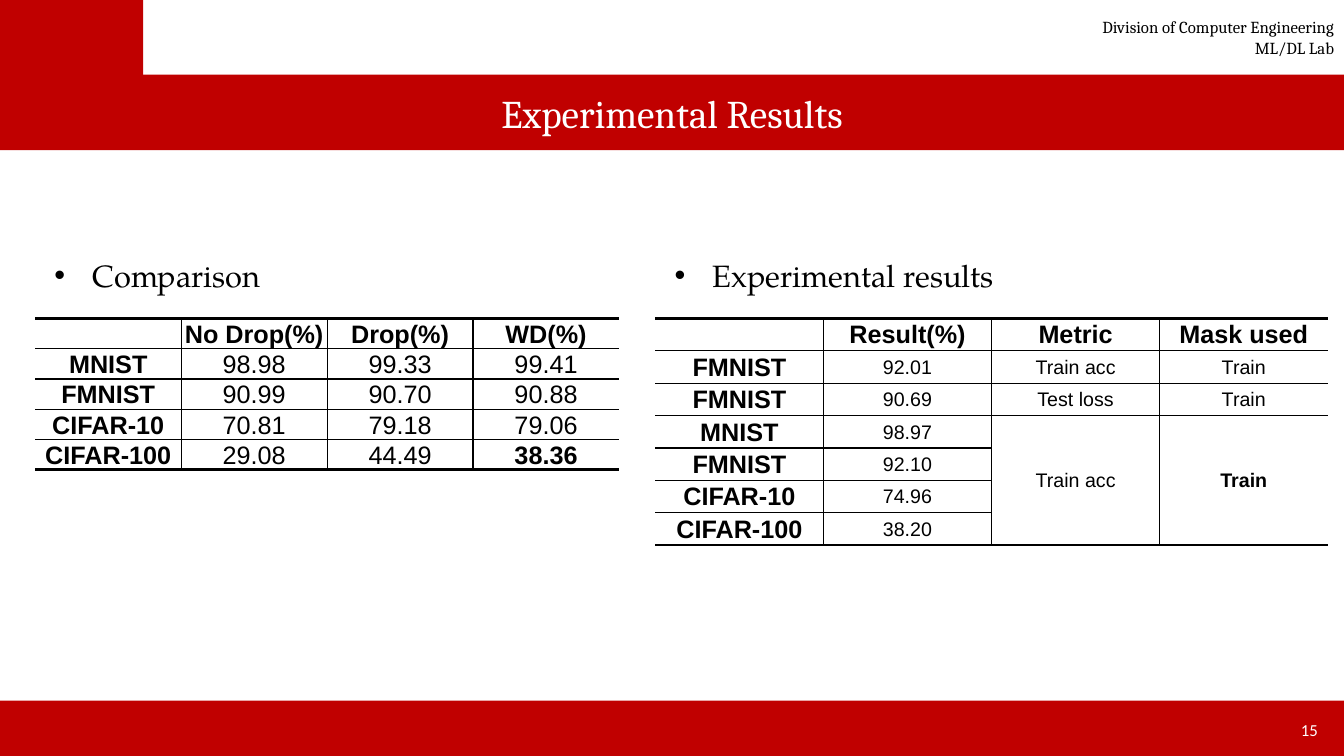
from lxml import etree
from pptx import Presentation
from pptx.dml.color import RGBColor
from pptx.enum.shapes import MSO_SHAPE
from pptx.enum.text import MSO_ANCHOR, MSO_AUTO_SIZE, PP_ALIGN
from pptx.oxml.ns import qn
from pptx.util import Inches, Pt

RECT = MSO_SHAPE.RECTANGLE
MIDDLE, BOTTOM = MSO_ANCHOR.MIDDLE, MSO_ANCHOR.BOTTOM
LEFT, CENTER, RIGHT = PP_ALIGN.LEFT, PP_ALIGN.CENTER, PP_ALIGN.RIGHT
NO_AUTOFIT = MSO_AUTO_SIZE.NONE
COLORS = {"red": "C00000", "white": "FFFFFF", "black": "000000"}
NO_TABLE_STYLE = "{2D5ABB26-0587-4C30-8999-92F81FD0307C}"
TWO_CONTENT_LAYOUT = 3

COMPARISON = [
    ["", "No Drop(%)", "Drop(%)", "WD(%)"],
    ["MNIST", "98.98", "99.33", "99.41"],
    ["FMNIST", "90.99", "90.70", "90.88"],
    ["CIFAR-10", "70.81", "79.18", "79.06"],
    ["CIFAR-100", "29.08", "44.49", "38.36"],
]
RESULTS = [
    ["", "Result(%)", "Metric", "Mask used"],
    ["FMNIST", "92.01", "Train acc", "Train"],
    ["FMNIST", "90.69", "Test loss", "Train"],
    ["MNIST", "98.97", "Train acc", "Train"],
    ["FMNIST", "92.10", "", ""],
    ["CIFAR-10", "74.96", "", ""],
    ["CIFAR-100", "38.20", "", ""],
]


def rgb(name):
    return RGBColor.from_string(COLORS[name])


def style_paragraph(p, size, font, color="black", align=LEFT, bold=False):
    p.alignment = align
    p.font.size = Pt(size)
    p.font.name = font
    p.font.bold = bold
    p.font.color.rgb = rgb(color)


def place(shape, left, top, width, height):
    shape.left, shape.top = Inches(left), Inches(top)
    shape.width, shape.height = Inches(width), Inches(height)


def fill_text(shape, lines, size, font, color="black", align=LEFT, anchor=MIDDLE):
    tf = shape.text_frame
    tf.word_wrap = True
    tf.auto_size = NO_AUTOFIT
    tf.vertical_anchor = anchor
    tf.text = "\n".join(lines)
    for p in tf.paragraphs:
        style_paragraph(p, size, font, color, align)


def add_block(s, left, top, width, height):
    block = s.shapes.add_shape(
        RECT, Inches(left), Inches(top), Inches(width), Inches(height))
    block.shadow.inherit = False
    block.fill.solid()
    block.fill.fore_color.rgb = rgb("red")
    block.line.fill.background()


def add_label(s, box, lines, size, font, color):
    label = s.shapes.add_textbox(*[Inches(v) for v in box])
    fill_text(label, lines, size, font, color, RIGHT)


def fill_bullet(shape, box, text):
    place(shape, *box)
    fill_text(shape, [text], 22, "TeX Gyre Pagella", anchor=BOTTOM)
    p = shape.text_frame.paragraphs[0]
    p.line_spacing = 1.5
    p.space_before = Pt(4.8)
    pPr = p._p.get_or_add_pPr()
    pPr.set("marL", str(Inches(0.47)))
    pPr.set("indent", str(Inches(-0.38)))


def set_border(cell, side, width):
    tcPr = cell._tc.get_or_add_tcPr()
    ln = etree.SubElement(tcPr, qn("a:ln" + side), w=str(Pt(width)))
    fill = etree.SubElement(ln, qn("a:solidFill"))
    etree.SubElement(fill, qn("a:srgbClr"), val=COLORS["black"])


def border_cell(cell, row, col, row_count, col_count):
    if col > 0:
        set_border(cell, "L", 1)
    if col < col_count - 1:
        set_border(cell, "R", 1)
    if not cell.is_spanned:
        set_border(cell, "T", 2 if row == 0 else 1)
    if row == row_count - 1 or cell.is_merge_origin:
        set_border(cell, "B", 2)
    elif not cell.is_spanned:
        set_border(cell, "B", 1)


def add_result_table(s, rows, box, anchor, value_size, bold_values, merges=()):
    row_count, col_count = len(rows), len(rows[0])
    frame = s.shapes.add_table(row_count, col_count, *[Inches(v) for v in box])
    table = frame.table
    table.first_row = table.horz_banding = False
    table._tbl.tblPr.find(qn("a:tableStyleId")).text = NO_TABLE_STYLE
    for top, bottom, col in merges:
        table.cell(top, col).merge(table.cell(bottom, col))
    for i, values in enumerate(rows):
        for j, value in enumerate(values):
            cell = table.cell(i, j)
            heading = i == 0 or j == 0
            cell.margin_left = cell.margin_right = Inches(0.02)
            cell.margin_top, cell.margin_bottom = Inches(0.01), Inches(0)
            cell.vertical_anchor = anchor
            border_cell(cell, i, j, row_count, col_count)
            cell.fill.solid()
            cell.fill.fore_color.rgb = rgb("white")
            cell.text = value
            style_paragraph(
                cell.text_frame.paragraphs[0], 18 if heading else value_size,
                "Arial", align=CENTER, bold=heading or (i, j) in bold_values)


def main():
    prs = Presentation()
    prs.slide_width, prs.slide_height = Inches(13.33), Inches(7.5)
    s = prs.slides.add_slide(prs.slide_layouts[TWO_CONTENT_LAYOUT])

    add_block(s, 0, 6.95, 13.33, 0.55)
    add_block(s, 0, 0.74, 13.33, 0.75)
    add_block(s, 0, 0, 1.42, 0.75)
    add_label(s, (9.71, 0.12, 3.62, 0.5),
              ["Division of Computer Engineering", "ML/DL Lab"],
              12, "Cambria", "black")
    add_label(s, (10.17, 7.09, 3, 0.29), ["15"], 12, "Calibri", "white")

    title = s.shapes.title
    place(title, 0, 0.75, 13.33, 0.73)
    fill_text(title, ["Experimental Results"], 28, "Cambria", "white", CENTER)
    s.shapes.element.append(title.element)

    fill_bullet(s.placeholders[1], (0.35, 2.3, 2.77, 0.66), "Comparison")
    fill_bullet(s.placeholders[2], (6.5, 2.3, 4.91, 0.66), "Experimental results")
    add_result_table(s, COMPARISON, (0.35, 3.16, 5.79, 1.5), BOTTOM, 18, [(4, 3)])
    add_result_table(s, RESULTS, (6.5, 3.16, 6.67, 2.25), MIDDLE, 14, [(3, 3)],
                     [(3, 6, 2), (3, 6, 3)])
    prs.save("out.pptx")


if __name__ == "__main__":
    main()
